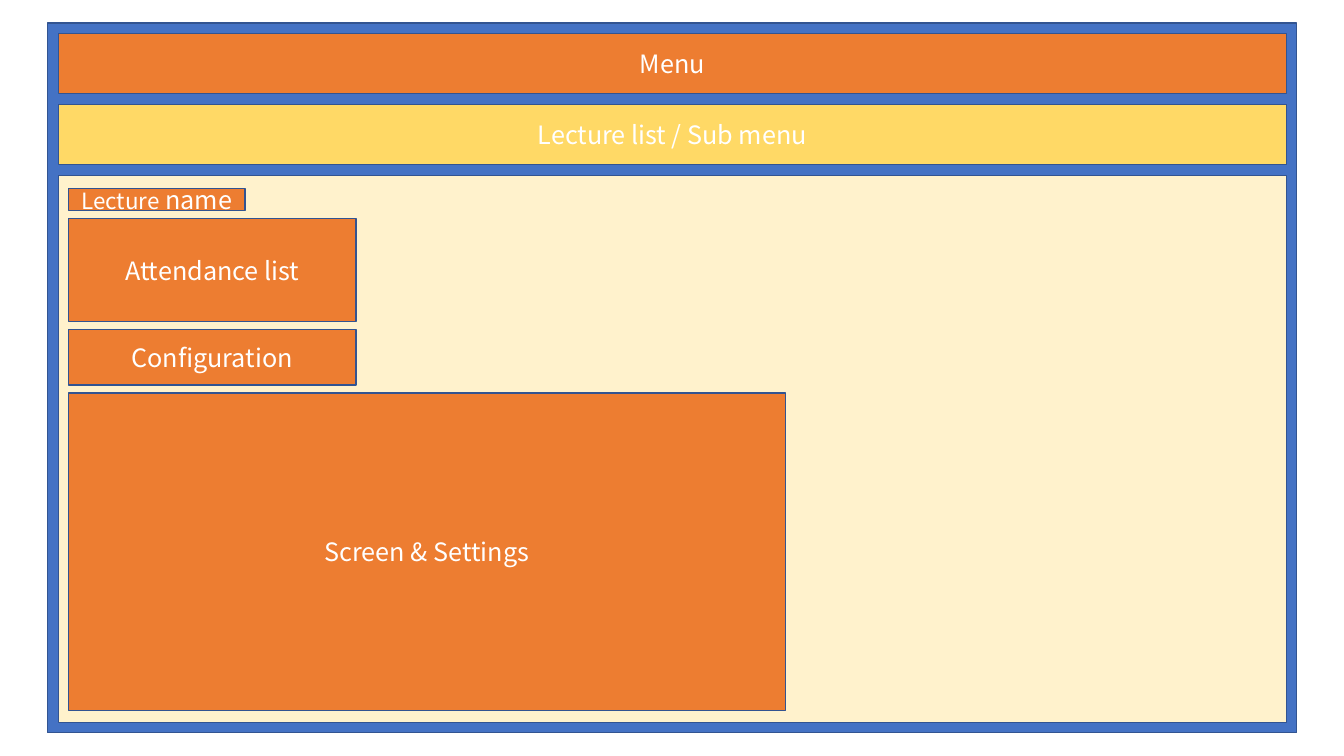
import pptx
import pptx.dml.color
import pptx.enum.shapes
import pptx.enum.text
import pptx.util

BLUE, ORANGE, YELLOW, CREAM = "4472C4", "ED7D31", "FFD966", "FFF2CC"


def color(hex_text):
    return pptx.dml.color.RGBColor.from_string(hex_text)


class Wireframe:
    """Style and current slide; lengths are percentages of the slide's size."""

    font = "Noto Sans CJK KR"
    outline = "325491"
    text_color = "FFFFFF"
    text_size = 18

    def __init__(self, deck):
        self.width, self.height = deck.slide_width, deck.slide_height
        self.page = deck.slides.add_slide(deck.slide_layouts[6])

    def panel(self, left, top, width, height, fill, *spans):
        """Outlined rectangle; each span is (text, size) on one centred line."""
        box = self.page.shapes.add_shape(
            pptx.enum.shapes.MSO_SHAPE.RECTANGLE,
            int(self.width * left / 100), int(self.height * top / 100),
            int(self.width * width / 100), int(self.height * height / 100))
        box.shadow.inherit = False
        box.fill.solid()
        box.fill.fore_color.rgb = color(fill)
        box.line.color.rgb = color(self.outline)
        box.line.width = pptx.util.Pt(1)
        frame = box.text_frame
        frame.word_wrap = True
        frame.vertical_anchor = pptx.enum.text.MSO_ANCHOR.MIDDLE
        para = frame.paragraphs[0]
        para.alignment = pptx.enum.text.PP_ALIGN.CENTER
        for text, size in spans:
            span = para.add_run()
            span.text = text
            span.font.name = self.font
            span.font.size = pptx.util.Pt(size)
            span.font.color.rgb = color(self.text_color)

    def stack(self, left, top, gap, rows):
        """Panels one below another; each row is (width, height, fill, *spans)."""
        for width, height, fill, *spans in rows:
            self.panel(left, top, width, height, fill, *spans)
            top += height + gap


def main():
    deck = pptx.Presentation()
    deck.slide_width = pptx.util.Inches(13.33)
    deck.slide_height = pptx.util.Inches(7.5)
    wireframe = Wireframe(deck)
    size = wireframe.text_size

    wireframe.panel(3.53, 3.07, 92.95, 93.87, BLUE)
    section_width = 91.37
    wireframe.stack(4.35, 4.4, 1.4, [
        (section_width, 8, ORANGE, ("Menu", size)),
        (section_width, 8, YELLOW, ("Lecture list / Sub menu", size)),
        (section_width, 72.4, CREAM),
    ])
    wireframe.stack(5.1, 24.93, 1.07, [
        (13.13, 2.93, ORANGE, ("Lecture", 16), (" name", size)),
        (21.38, 13.6, ORANGE, ("Attendance list", size)),
        (21.38, 7.33, ORANGE, ("Configuration", size)),
        (53.34, 42, ORANGE, ("Screen & Settings", size)),
    ])
    deck.save("out.pptx")


if __name__ == "__main__":
    main()
